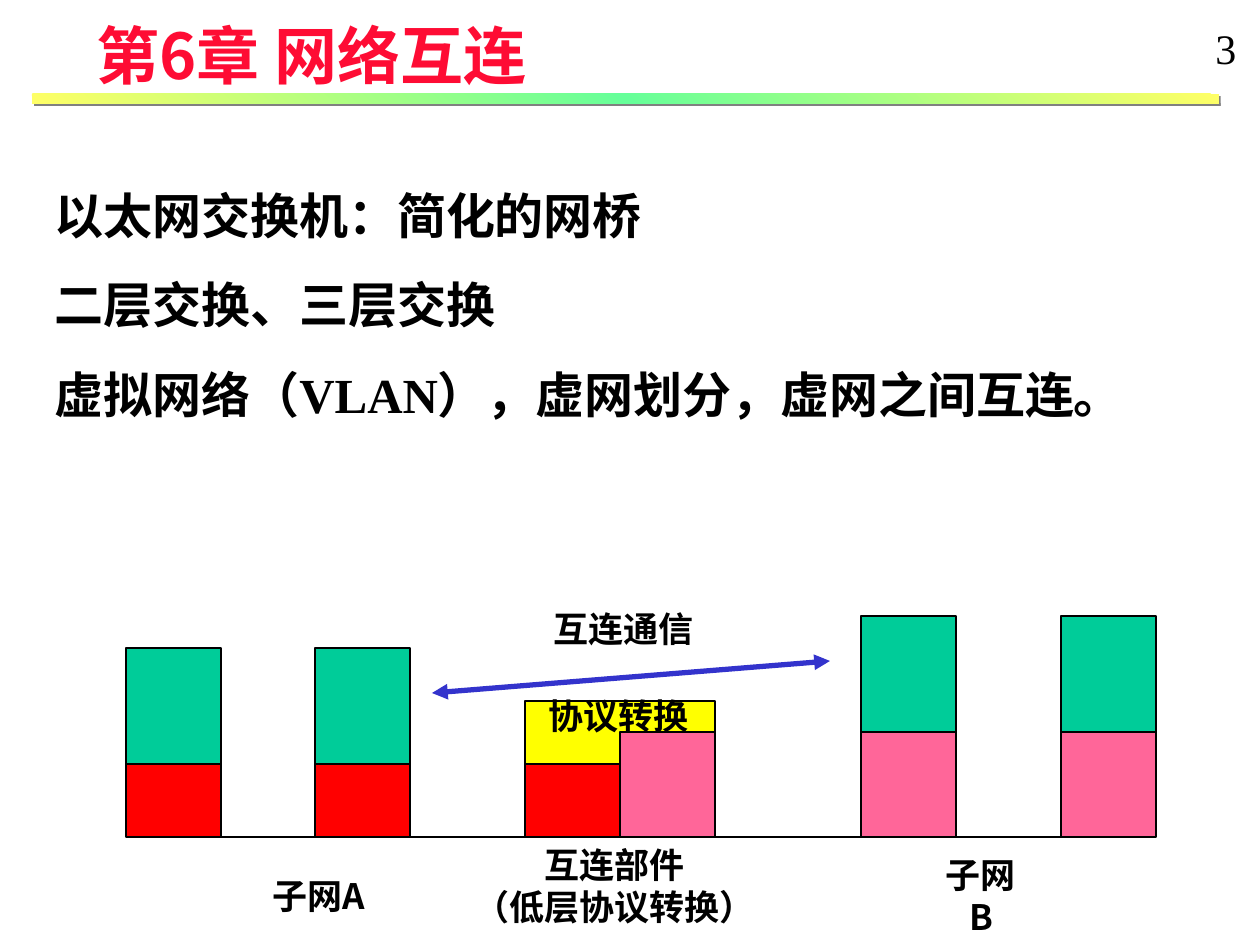
from copy import deepcopy

from lxml.etree import SubElement
from pptx import Presentation
from pptx.dml.color import RGBColor
from pptx.enum.shapes import MSO_CONNECTOR as Connector, MSO_SHAPE as Preset
from pptx.enum.text import MSO_ANCHOR as Anchor, MSO_AUTO_SIZE as AutoSize, PP_ALIGN as Align
from pptx.oxml.ns import qn
from pptx.util import Emu, Pt

PX_PER_INCH = 126
SANS, SERIF = "Noto Sans CJK SC", "Times New Roman"
BLACK, GREEN, RED, PINK, YELLOW = "000000", "00CC99", "FF0000", "FF6699", "FFFF00"
BASELINE = 837
STACK_WIDTH = 95
UPPER_HEIGHT, RED_HEIGHT, PINK_HEIGHT = 116, 73, 105


def px(length):
    return Emu(round(length * 914400 / PX_PER_INCH))


def rgb(code):
    return RGBColor.from_string(code)


def write(frame, lines, size, font, color=BLACK, bold=True, align=Align.LEFT,
          anchor=Anchor.TOP, wrap=True):
    frame.word_wrap = wrap
    frame.auto_size = AutoSize.NONE
    frame.vertical_anchor = anchor
    for number, line in enumerate(lines):
        paragraph = frame.add_paragraph() if number else frame.paragraphs[0]
        paragraph.alignment = align
        run = paragraph.add_run()
        run.text = line
        run.font.size = Pt(size)
        run.font.bold = bold
        run.font.color.rgb = rgb(color)
        run.font.name = font
        SubElement(run.font._element, qn("a:ea"), typeface=SANS)


def place(holder, left, top, width, height):
    holder.left, holder.top = px(left), px(top)
    holder.width, holder.height = px(width), px(height)


def add_label(slide, lines, left, top, width, height, wrap=False):
    label = slide.shapes.add_textbox(px(left), px(top), px(width), px(height))
    write(label.text_frame, lines, 20, SANS, align=Align.CENTER,
          anchor=Anchor.MIDDLE, wrap=wrap)


def outline(shape, fill):
    shape.shadow.inherit = False
    shape.fill.solid()
    shape.fill.fore_color.rgb = rgb(fill)
    shape.line.color.rgb = rgb(BLACK)
    shape.line.width = Pt(0.75)


def add_layer(slide, left, bottom, height, fill):
    layer = slide.shapes.add_shape(Preset.RECTANGLE, px(left), px(bottom - height),
                                   px(STACK_WIDTH), px(height))
    outline(layer, fill)


def add_host(slide, left, lower_height, lower_fill):
    """Stack the upper protocols on a subnet's own lower layer."""
    add_layer(slide, left, BASELINE - lower_height, UPPER_HEIGHT, GREEN)
    add_layer(slide, left, BASELINE, lower_height, lower_fill)


def add_converter(slide, left):
    """Draw the two lower layers and the stepped block joining them."""
    middle, right = left + STACK_WIDTH, left + 2 * STACK_WIDTH
    red_top, pink_top, top = BASELINE - RED_HEIGHT, BASELINE - PINK_HEIGHT, 701
    add_layer(slide, left, BASELINE, RED_HEIGHT, RED)
    add_layer(slide, middle, BASELINE, PINK_HEIGHT, PINK)
    corners = [(middle, red_top), (middle, pink_top), (right, pink_top),
               (right, top), (left, top)]
    builder = slide.shapes.build_freeform(px(left), px(red_top), scale=1.0)
    builder.add_line_segments([(px(x), px(y)) for x, y in corners], close=True)
    outline(builder.convert_to_shape(), YELLOW)


def add_line(slide, start, end, color, width, arrows=False):
    line = slide.shapes.add_connector(Connector.STRAIGHT, *map(px, start + end))
    line.line.color.rgb = rgb(color)
    line.line.width = Pt(width)
    if arrows:
        for tip in ("a:headEnd", "a:tailEnd"):
            SubElement(line.line._get_or_add_ln(), qn(tip), type="triangle")
    SubElement(line.element.spPr, qn("a:effectLst"))


def add_header_bar(slide):
    bar = slide.shapes.add_shape(Preset.RECTANGLE, px(32), px(94), px(1187), px(10))
    bar.line.fill.background()
    bar.fill.gradient()
    bar.fill.gradient_angle = 225
    stop_list = bar.element.spPr.find(qn("a:gradFill")).find(qn("a:gsLst"))
    stop_list.append(deepcopy(stop_list[0]))
    colors = ("FFFF66", "66FF99", "FFFF66")
    for stop, position, color in zip(bar.fill.gradient_stops, (0, 0.5, 1), colors):
        stop.position = position
        stop.color.rgb = rgb(color)
    bar.shadow.inherit = False
    effects = bar.element.spPr.find(qn("a:effectLst"))
    shadow = SubElement(effects, qn("a:outerShdw"), dist=str(Pt(1.4)), dir="2700000",
                        algn="ctr", rotWithShape="0")
    SubElement(shadow, qn("a:srgbClr"), val="808080")


def add_topics(body):
    place(body, 42, 179, 1166, 251)
    topics = ["以太网交换机：简化的网桥", "二层交换、三层交换",
              "虚拟网络（VLAN），虚网划分，虚网之间互连。"]
    write(body.text_frame, topics, 28, SERIF)
    for paragraph in body.text_frame.paragraphs:
        paragraph.space_before = Pt(17.5)
        properties = paragraph._p.get_or_add_pPr()
        properties.set("marL", "0")
        properties.set("indent", "0")
        SubElement(properties, qn("a:buNone"))


def add_network(slide):
    for left in (126, 315):
        add_host(slide, left, RED_HEIGHT, RED)
    for left in (861, 1061):
        add_host(slide, left, PINK_HEIGHT, PINK)
    add_converter(slide, 525)
    add_line(slide, (221, BASELINE), (1061, BASELINE), BLACK, 0.75)
    add_line(slide, (432, 693), (830, 661), "3333CC", 3, arrows=True)
    add_label(slide, ["子网A"], 255, 868, 127, 55)
    add_label(slide, ["子网B"], 922, 868, 118, 55, wrap=True)
    add_label(slide, ["互连部件", "（低层协议转换）"], 462, 837, 305, 97)
    add_label(slide, ["协议转换"], 536, 688, 165, 55)
    add_label(slide, ["互连通信"], 541, 601, 165, 55)


def main():
    deck = Presentation()
    deck.slide_width, deck.slide_height = px(1260), px(945)
    slide = deck.slides.add_slide(deck.slide_layouts[1])
    title, body = slide.placeholders
    place(title, 84, 10, 630, 88)
    write(title.text_frame, ["第6章 网络互连"], 36, SANS, "FE0C34")
    add_topics(body)
    add_network(slide)
    page_number = slide.shapes.add_textbox(px(1203), px(16), px(45), px(63))
    write(page_number.text_frame, ["3"], 24, SERIF, bold=False, wrap=False)
    add_header_bar(slide)
    deck.save("out.pptx")


if __name__ == "__main__":
    main()
